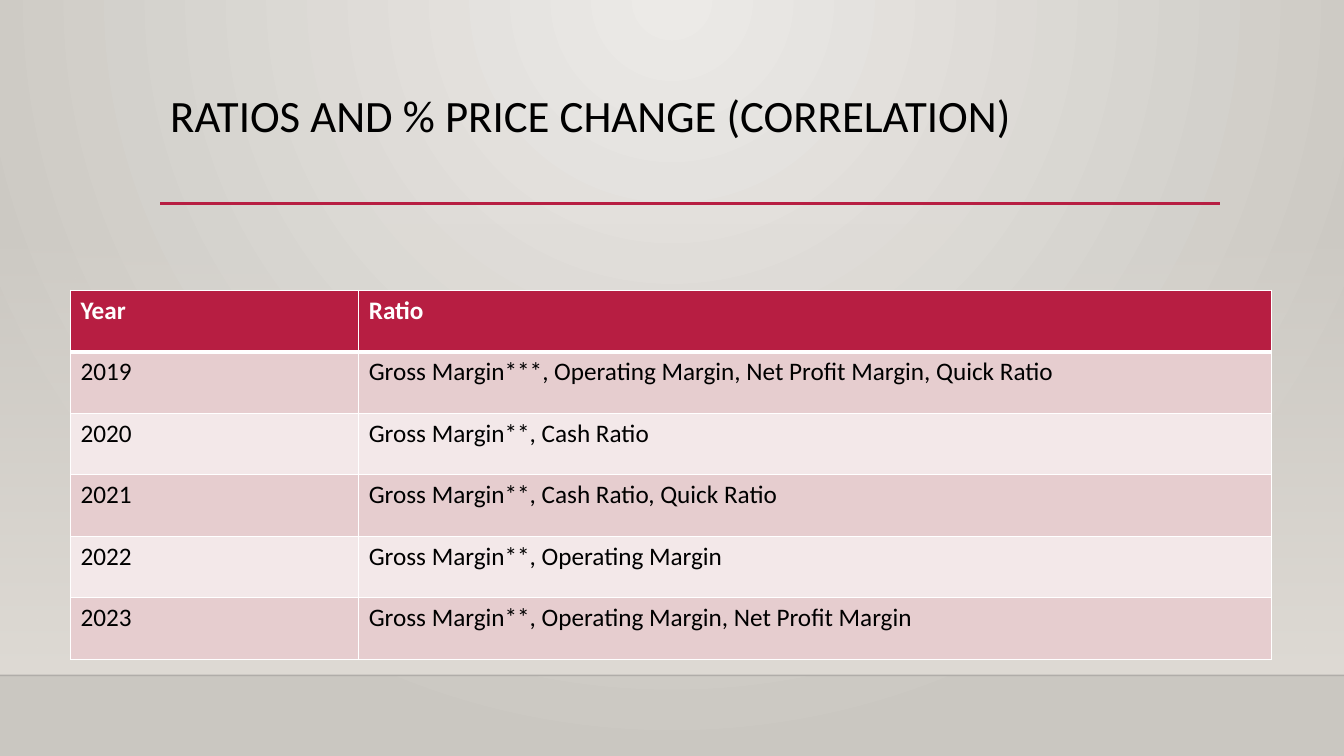
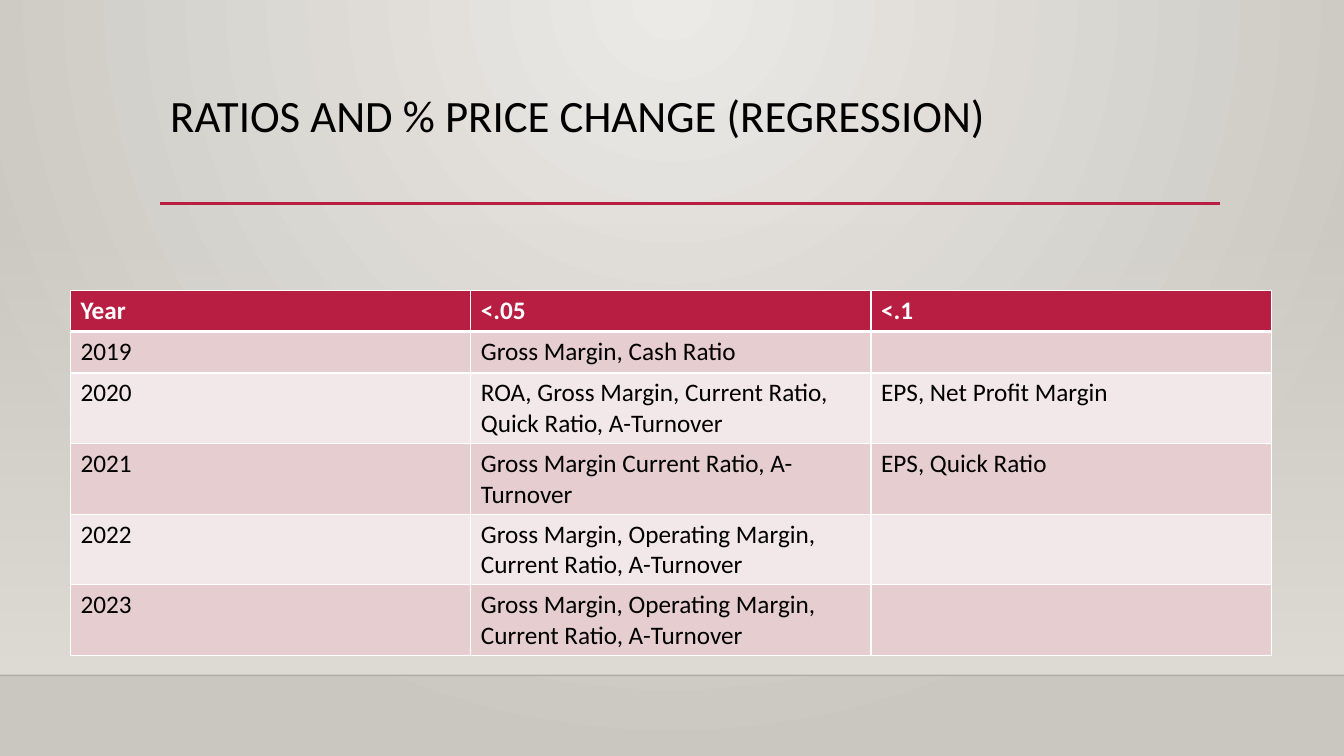
from pptx import Presentation
from pptx.dml.color import RGBColor
from pptx.enum.shapes import MSO_CONNECTOR, MSO_SHAPE
from pptx.enum.text import MSO_ANCHOR
from pptx.oxml import parse_xml
from pptx.oxml.ns import nsdecls
from pptx.util import Inches, Pt

WIDTH, HEIGHT = 13.33, 7.5
FONT = "Calibri"
RED, BLACK, WHITE = "B71E42", "000000", "FFFFFF"
BAND_COLORS = ("E6CDCF", "F3E8E9")
FLOOR_TOP, FLOOR_LINE = 2.21, 6.7
TITLE_LEFT, TITLE_TOP, TITLE_WIDTH, TITLE_HEIGHT = 1.59, 0.88, 10.5, 1.15
RULE_RIGHT, RULE_TOP = 12.1, 2.02
TABLE_LEFT, TABLE_TOP, TABLE_WIDTH = 0.7, 2.88, 11.91

SLIDES = [
    {
        "title": "RATIOS AND % PRICE CHANGE (CORRELATION)",
        "column_shares": (0.24, 0.76),
        "row_height": 0.61,
        "rows": [
            ("Year", "Ratio"),
            ("2019", "Gross Margin***, Operating Margin, Net Profit Margin, Quick Ratio"),
            ("2020", "Gross Margin**, Cash Ratio"),
            ("2021", "Gross Margin**, Cash Ratio, Quick Ratio"),
            ("2022", "Gross Margin**, Operating Margin"),
            ("2023", "Gross Margin**, Operating Margin, Net Profit Margin"),
        ],
    },
    {
        "title": "RATIOS AND % PRICE CHANGE (REGRESSION)",
        "column_shares": (1 / 3, 1 / 3, 1 / 3),
        "row_height": 0.41,
        "rows": [
            ("Year", "<.05", "<.1"),
            ("2019", "Gross Margin, Cash Ratio", ""),
            ("2020", "ROA, Gross Margin, Current Ratio, Quick Ratio, A-Turnover",
             "EPS, Net Profit Margin"),
            ("2021", "Gross Margin Current Ratio, A-Turnover", "EPS, Quick Ratio"),
            ("2022", "Gross Margin, Operating Margin, Current Ratio, A-Turnover", ""),
            ("2023", "Gross Margin, Operating Margin, Current Ratio, A-Turnover", ""),
        ],
    },
]


def color(value):
    return RGBColor.from_string(value)


def color_xml(value, opacity=100):
    return f'<a:srgbClr val="{value}"><a:alpha val="{opacity * 1000}"/></a:srgbClr>'


def gradient(stops, direction):
    """Build a gradient fill from (position, colour, opacity) stops in percent."""
    stop_xml = "".join(
        f'<a:gs pos="{position * 1000}">{color_xml(value, opacity)}</a:gs>'
        for position, value, opacity in stops)
    return parse_xml(f'<a:gradFill {nsdecls("a")} rotWithShape="1">'
                     f'<a:gsLst>{stop_xml}</a:gsLst>{direction}</a:gradFill>')


def replace(element, new_element):
    element.getparent().replace(element, new_element)


def set_background(master):
    master.background.fill.background()
    glow = gradient(
        [(0, "ECEAE7", 100), (100, "CAC7C1", 100)],
        '<a:path path="circle"><a:fillToRect l="43000" t="0" r="43000" b="100000"/></a:path>')
    replace(master.element.xpath(".//p:bgPr/a:noFill")[0], glow)


def write(frame, text, size=18, ink=BLACK, bold=False, line_spacing=None):
    frame.word_wrap = True
    paragraph = frame.paragraphs[0]
    paragraph.line_spacing = line_spacing
    font = paragraph.font
    if text:
        run = paragraph.add_run()
        run.text = text
        font = run.font
    font.name, font.size, font.bold = FONT, Pt(size), bold
    font.color.rgb = color(ink)


def add_line(slide, left, right, top, ink, width, opacity=100):
    line = slide.shapes.add_connector(
        MSO_CONNECTOR.STRAIGHT, Inches(left), Inches(top), Inches(right), Inches(top))
    line.line.width = Pt(width)
    line.line.color.rgb = color(ink)
    properties = line._element.spPr
    replace(properties.xpath("./a:ln/a:solidFill")[0],
            parse_xml(f'<a:solidFill {nsdecls("a")}>{color_xml(ink, opacity)}</a:solidFill>'))
    properties.append(parse_xml(f'<a:effectLst {nsdecls("a")}/>'))


def add_floor(slide):
    wall = slide.shapes.add_shape(
        MSO_SHAPE.RECTANGLE, 0, Inches(FLOOR_TOP), Inches(WIDTH), Inches(FLOOR_LINE - FLOOR_TOP))
    wall.shadow.inherit = False
    wall.line.fill.background()
    wall.fill.background()
    fade = gradient([(0, "DFDBD5", 0), (100, "DFDBD5", 100)], '<a:lin ang="5400000" scaled="0"/>')
    replace(wall._element.spPr.xpath("./a:noFill")[0], fade)
    add_line(slide, 0, WIDTH, FLOOR_LINE, "000001", 1, opacity=20)


def add_title(slide, text):
    add_line(slide, TITLE_LEFT, RULE_RIGHT, RULE_TOP, RED, 2.5)
    box = slide.shapes.add_textbox(
        Inches(TITLE_LEFT), Inches(TITLE_TOP), Inches(TITLE_WIDTH), Inches(TITLE_HEIGHT))
    box.text_frame.vertical_anchor = MSO_ANCHOR.TOP
    write(box.text_frame, text, size=32, line_spacing=0.9)


def set_borders(cell, top, bottom):
    """Draw white borders; top and bottom are widths in points."""
    properties = cell._tc.get_or_add_tcPr()
    widths = {"lnL": 1, "lnR": 1, "lnT": top, "lnB": bottom}
    for index, (side, width) in enumerate(widths.items()):
        properties.insert(index, parse_xml(
            f'<a:{side} {nsdecls("a")} w="{Pt(width)}">'
            f'<a:solidFill>{color_xml(WHITE)}</a:solidFill></a:{side}>'))


def add_ratio_table(slide, rows, column_shares, row_height):
    table = slide.shapes.add_table(
        len(rows), len(column_shares), Inches(TABLE_LEFT), Inches(TABLE_TOP),
        Inches(TABLE_WIDTH), Inches(row_height * len(rows))).table
    for column, share in zip(table.columns, column_shares):
        column.width = Inches(TABLE_WIDTH * share)
    for row_index, texts in enumerate(rows):
        table.rows[row_index].height = Inches(row_height)
        header = row_index == 0
        for column_index, text in enumerate(texts):
            cell = table.cell(row_index, column_index)
            cell.fill.solid()
            cell.fill.fore_color.rgb = color(RED if header else BAND_COLORS[(row_index - 1) % 2])
            set_borders(cell, top=3 if row_index == 1 else 1, bottom=3 if header else 1)
            write(cell.text_frame, text, ink=WHITE if header else BLACK, bold=header)


def main():
    presentation = Presentation()
    presentation.slide_width, presentation.slide_height = Inches(WIDTH), Inches(HEIGHT)
    set_background(presentation.slide_master)
    for content in SLIDES:
        slide = presentation.slides.add_slide(presentation.slide_layouts[6])
        add_floor(slide)
        add_title(slide, content["title"])
        add_ratio_table(slide, content["rows"], content["column_shares"], content["row_height"])
    presentation.save("out.pptx")


if __name__ == "__main__":
    main()
